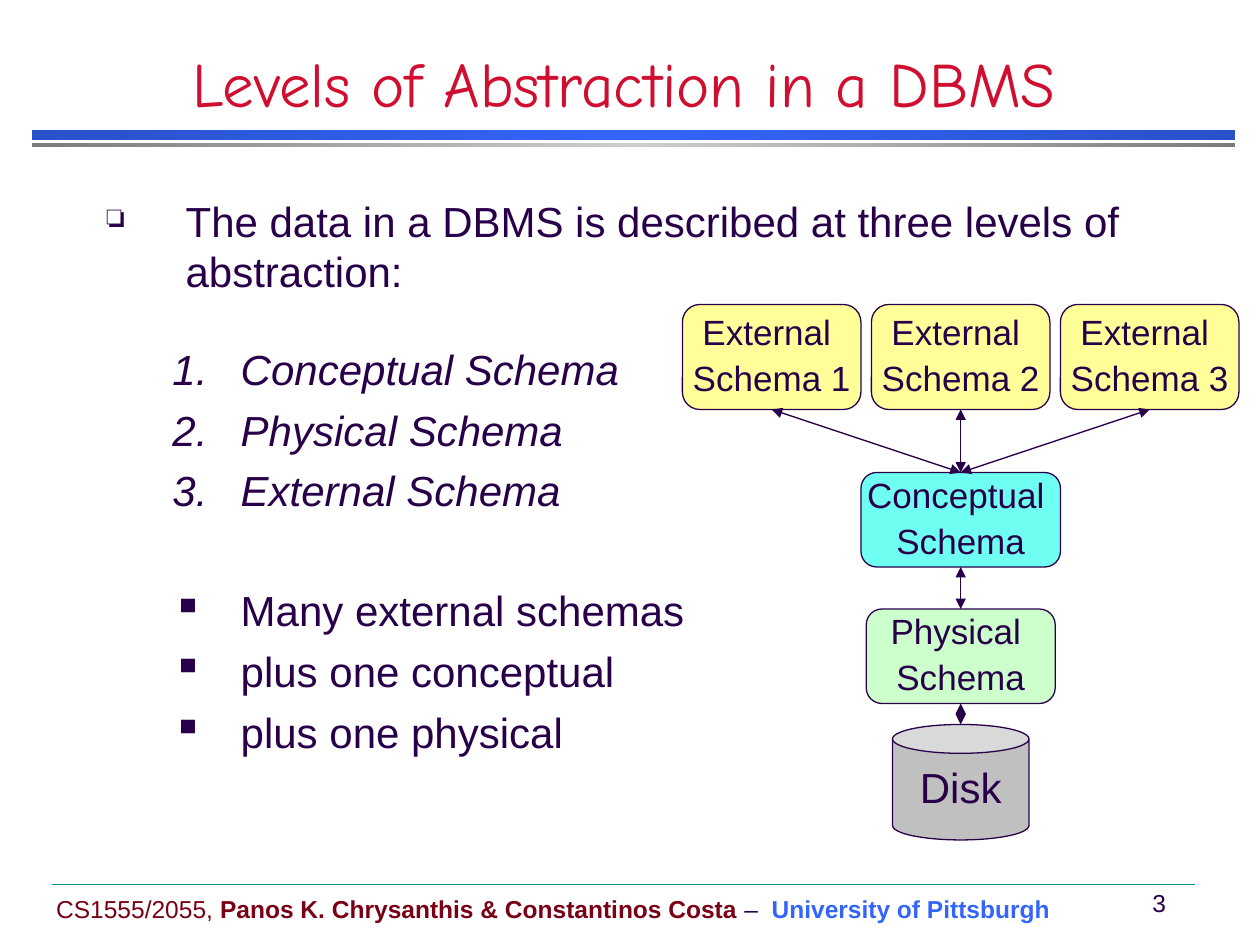
from copy import deepcopy
from dataclasses import dataclass

from lxml.etree import SubElement
from pptx import Presentation
from pptx.dml.color import RGBColor
from pptx.enum.shapes import MSO_CONNECTOR, MSO_SHAPE
from pptx.enum.text import MSO_ANCHOR, PP_ALIGN
from pptx.oxml.ns import qn
from pptx.util import Pt


@dataclass(frozen=True)
class Theme:
    font: str = "Arial"
    title_font: str = "Comic Neue"
    title_size: float = 36
    body_size: float = 24
    schema_size: float = 20
    footer_size: float = 14
    ink: str = "280049"
    title: str = "CF0E30"
    course: str = "790015"
    university: str = "3365FB"
    footer_rule: str = "009688"
    external: str = "FFFF99"
    conceptual: str = "6FFFF2"
    physical: str = "CCFFCC"
    disk: str = "C0C0C0"
    blue_bar: tuple = ("2951C9", "3365FB", "2951C9")
    grey_bar: tuple = ("7C7C7C", "CECECE", "7C7C7C")


@dataclass(frozen=True)
class Node:
    lines: str
    center: float
    top: float
    width: float
    height: float
    color: str
    size: float = 20
    preset: MSO_SHAPE = MSO_SHAPE.ROUNDED_RECTANGLE


@dataclass(frozen=True)
class Item:
    text: str
    bullet: str
    space_before: float
    level: int = 1
    italic: bool = False


THEME = Theme()
AXIS = 549
NUMBERED = "1."

EXTERNALS = [
    Node(f"External \nSchema {number}", AXIS + (number - 2) * 108, 174, 102, 60, THEME.external)
    for number in (1, 2, 3)
]
CONCEPTUAL = Node("Conceptual \nSchema", AXIS, 270, 114, 54, THEME.conceptual)
PHYSICAL = Node("Physical \nSchema", AXIS, 348, 108, 54, THEME.physical)
DISK = Node("Disk", AXIS, 414, 78, 66, THEME.disk, THEME.body_size, MSO_SHAPE.CAN)

ITEMS = [
    Item("The data in a DBMS is described at three levels of abstraction:", "❏", 3, level=0),
    Item("Conceptual Schema", NUMBERED, 27.3, italic=True),
    Item("Physical Schema", NUMBERED, 5.8, italic=True),
    Item("External Schema", NUMBERED, 5.8, italic=True),
    Item("Many external schemas", "▪", 39.8),
    Item("plus one conceptual", "▪", 5.8),
    Item("plus one physical", "▪", 5.8),
]
INDENTS = [(45, -45), (76.5, -39)]


def style(run, size: float, color: str, font: str = THEME.font,
          bold: bool = False, italic: bool = False) -> None:
    run.font.name, run.font.size = font, Pt(size)
    run.font.bold, run.font.italic = bold, italic
    run.font.color.rgb = RGBColor.from_string(color)


def add_text_frame(slide, left: float, top: float, width: float, height: float, anchor):
    frame = slide.shapes.add_textbox(Pt(left), Pt(top), Pt(width), Pt(height)).text_frame
    frame.word_wrap = True
    frame.vertical_anchor = anchor
    return frame


def add_bar(slide, top: float, height: float, colors: tuple) -> None:
    """Draw a full-width bar with an evenly spaced horizontal gradient."""
    bar = slide.shapes.add_shape(MSO_SHAPE.RECTANGLE, Pt(18), Pt(top), Pt(688), Pt(height))
    bar.shadow.inherit = False
    bar.line.fill.background()
    bar.fill.gradient()
    bar.fill.gradient_angle = 0
    stop_list = bar._element.spPr.find(".//" + qn("a:gsLst"))
    stop_list.insert(1, deepcopy(stop_list[0]))
    for index, (stop, color) in enumerate(zip(bar.fill.gradient_stops, colors)):
        stop.position = index / (len(colors) - 1)
        stop.color.rgb = RGBColor.from_string(color)


def add_title(slide) -> None:
    frame = add_text_frame(slide, 0, 30, 713, 42, MSO_ANCHOR.BOTTOM)
    frame.text = "Levels of Abstraction in a DBMS"
    frame.paragraphs[0].alignment = PP_ALIGN.CENTER
    style(frame.paragraphs[0].runs[0], THEME.title_size, THEME.title, THEME.title_font)


def set_bullet(paragraph, item: Item) -> None:
    properties = paragraph._p.get_or_add_pPr()
    margin, indent = INDENTS[item.level]
    properties.set("marL", str(Pt(margin)))
    properties.set("indent", str(Pt(indent)))
    color = SubElement(properties, qn("a:buClr"))
    SubElement(color, qn("a:srgbClr"), val=THEME.ink)
    if item.level == 0:
        SubElement(properties, qn("a:buSzPct"), val="75000")
    if item.bullet == NUMBERED:
        SubElement(properties, qn("a:buAutoNum"), type="arabicPeriod")
    else:
        SubElement(properties, qn("a:buChar"), char=item.bullet)


def add_body(slide) -> None:
    frame = add_text_frame(slide, 54, 108, 612, 324, MSO_ANCHOR.TOP)
    frame.text = "\n".join(item.text for item in ITEMS)
    for paragraph, item in zip(frame.paragraphs, ITEMS):
        paragraph.level = item.level
        paragraph.space_before = Pt(item.space_before)
        set_bullet(paragraph, item)
        style(paragraph.runs[0], THEME.body_size, THEME.ink, italic=item.italic)


def add_node(slide, node: Node):
    shape = slide.shapes.add_shape(node.preset, Pt(node.center - node.width / 2), Pt(node.top),
                                   Pt(node.width), Pt(node.height))
    shape.shadow.inherit = False
    shape.fill.solid()
    shape.fill.fore_color.rgb = RGBColor.from_string(node.color)
    shape.line.color.rgb = RGBColor.from_string(THEME.ink)
    shape.line.width = Pt(0.75)
    frame = shape.text_frame
    frame.text = node.lines
    frame.word_wrap = False
    frame.vertical_anchor = MSO_ANCHOR.MIDDLE
    for paragraph in frame.paragraphs:
        paragraph.alignment = PP_ALIGN.CENTER
        paragraph.line_spacing = 0.9
        paragraph.space_before = Pt(node.size * 0.24)
        style(paragraph.runs[0], node.size, THEME.ink)
    return shape


def add_line(slide, start: tuple, end: tuple, color: str, width: float):
    line = slide.shapes.add_connector(MSO_CONNECTOR.STRAIGHT, *map(Pt, start + end))
    line.line.color.rgb = RGBColor.from_string(color)
    line.line.width = Pt(width)
    SubElement(line._element.spPr, qn("a:effectLst"))
    return line


def add_mapping(slide, upper: Node, lower: Node, shapes: dict) -> None:
    """Draw a two-way arrow from the bottom of one node to the top of the next."""
    arrow = add_line(slide, (upper.center, upper.top + upper.height),
                     (lower.center, lower.top), THEME.ink, 0.75)
    for end in ("a:headEnd", "a:tailEnd"):
        SubElement(arrow.line._get_or_add_ln(), qn(end), type="triangle")
    arrow.begin_connect(shapes[upper], 2)
    if lower.preset == MSO_SHAPE.ROUNDED_RECTANGLE:
        arrow.end_connect(shapes[lower], 0)


def add_diagram(slide) -> None:
    shapes = {node: add_node(slide, node) for node in (DISK, PHYSICAL, *EXTERNALS, CONCEPTUAL)}
    mappings = [(external, CONCEPTUAL) for external in EXTERNALS]
    mappings += [(CONCEPTUAL, PHYSICAL), (PHYSICAL, DISK)]
    for upper, lower in mappings:
        add_mapping(slide, upper, lower, shapes)


def add_footer(slide) -> None:
    add_line(slide, (30, 505), (683, 505), THEME.footer_rule, 0.25)
    credit = add_text_frame(slide, 25, 490, 583, 41, MSO_ANCHOR.BOTTOM).paragraphs[0]
    for words, color, bold in (
        ("CS1555/2055, ", THEME.course, False),
        ("Panos K. Chrysanthis & Constantinos Costa", THEME.course, True),
        (" –  ", THEME.ink, False),
        ("University of Pittsburgh", THEME.university, True),
    ):
        run = credit.add_run()
        run.text = words
        style(run, THEME.footer_size, color, bold=bold)
    page = add_text_frame(slide, 643, 504, 35, 24, MSO_ANCHOR.MIDDLE)
    page.word_wrap = False
    page.text = " 3"
    page.paragraphs[0].alignment = PP_ALIGN.CENTER
    style(page.paragraphs[0].runs[0], THEME.footer_size, THEME.ink)


def main() -> None:
    presentation = Presentation()
    presentation.slide_width, presentation.slide_height = Pt(720), Pt(540)
    slide = presentation.slides.add_slide(presentation.slide_layouts[6])
    add_bar(slide, 74.2, 5.8, THEME.blue_bar)
    add_bar(slide, 82, 2.2, THEME.grey_bar)
    add_footer(slide)
    add_title(slide)
    add_body(slide)
    add_diagram(slide)
    presentation.save("out.pptx")


if __name__ == "__main__":
    main()
